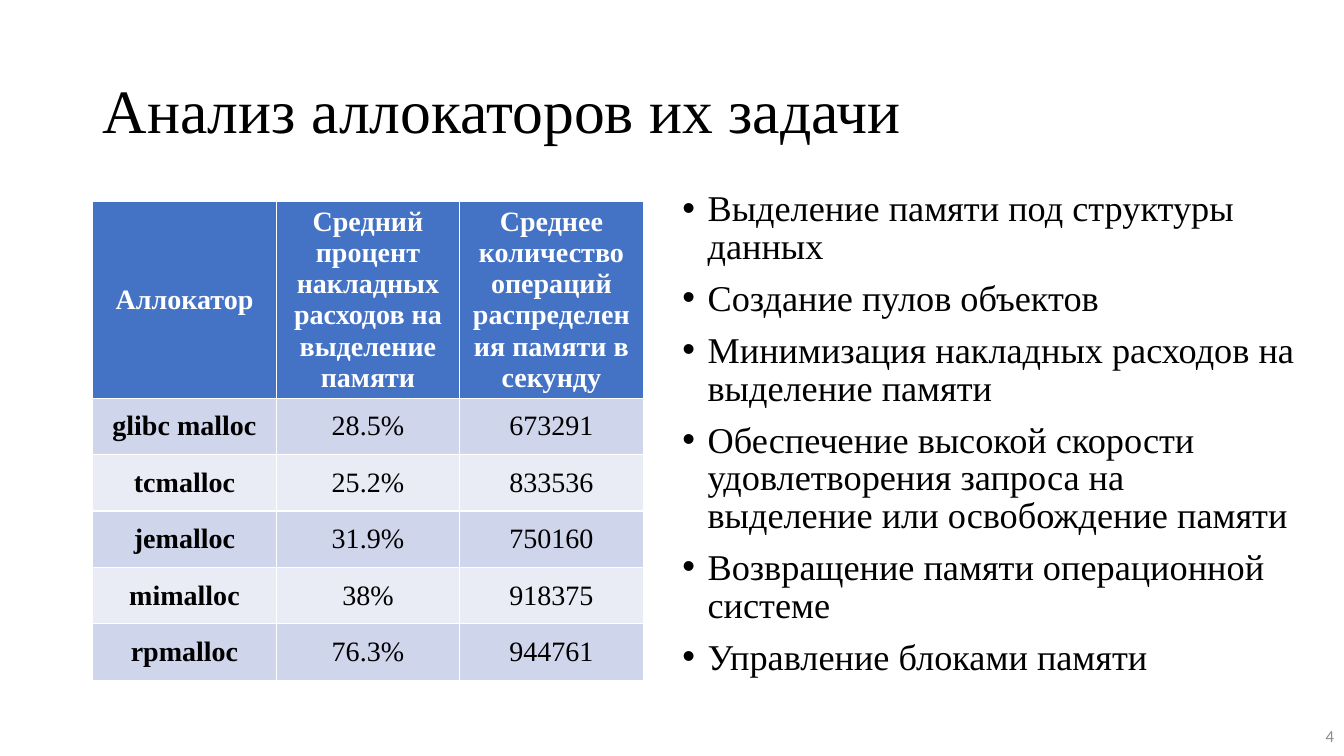
"""Build a slide comparing memory allocators and listing their tasks."""
from dataclasses import dataclass

from lxml.etree import SubElement
from pptx import Presentation
from pptx.dml.color import RGBColor
from pptx.enum.text import MSO_ANCHOR, PP_ALIGN
from pptx.oxml.ns import qn
from pptx.util import Inches, Pt

COLORS = {"ink": "000000", "white": "FFFFFF", "head": "4472C4",
          "odd": "CFD5EA", "even": "E9EBF5", "gray": "8C8C8C"}
SERIF = "Times New Roman"
ROWS = [
    ("Аллокатор", "Средний процент накладных расходов на выделение памяти",
     "Среднее количество операций распределения памяти в секунду"),
    ("glibc malloc", "28.5%", "673291"),
    ("tcmalloc", "25.2%", "833536"),
    ("jemalloc", "31.9%", "750160"),
    ("mimalloc", "38%", "918375"),
    ("rpmalloc", "76.3%", "944761"),
]
TASKS = [
    "Выделение памяти под структуры данных",
    "Создание пулов объектов",
    "Минимизация накладных расходов на выделение памяти",
    "Обеспечение высокой скорости удовлетворения запроса на выделение "
    "или освобождение памяти",
    "Возвращение памяти операционной системе",
    "Управление блоками памяти",
]


@dataclass
class Block:
    box: tuple[float, float, float, float]
    lines: list[str]
    font: dict
    color: str
    para: dict
    anchor: MSO_ANCHOR = MSO_ANCHOR.MIDDLE
    bullet: bool = False


BLOCKS = [
    Block((0.92, 0.4, 11.5, 1.45), ["Анализ аллокаторов их задачи"],
          {"name": SERIF, "size": Pt(44)}, "ink", {"line_spacing": 0.9}),
    Block((10.33, 7.1, 3, 0.4), ["4"],
          {"name": "Calibri", "size": Pt(12)}, "gray",
          {"alignment": PP_ALIGN.RIGHT}),
    Block((6.67, 1.85, 6.27, 4.7), TASKS,
          {"name": SERIF, "size": Pt(25.9)}, "ink",
          {"line_spacing": 0.87, "space_before": Pt(10)},
          MSO_ANCHOR.TOP, True),
]


def style(para, font: dict, color: str, form: dict) -> None:
    for item, values in ((para.font, font), (para, form)):
        for key, value in values.items():
            setattr(item, key, value)
    para.font.color.rgb = RGBColor.from_string(COLORS[color])


def mark(para) -> None:
    props = para._p.get_or_add_pPr()
    props.set("marL", str(Inches(0.25)))
    props.set("indent", str(Inches(-0.25)))
    SubElement(props, qn("a:buFont"), typeface="Arial")
    SubElement(props, qn("a:buChar"), char="•")


def write(slide, block: Block) -> None:
    frame = slide.shapes.add_textbox(*map(Inches, block.box)).text_frame
    frame.word_wrap = True
    frame.vertical_anchor = block.anchor
    frame.text = "\n".join(block.lines)
    for para in frame.paragraphs:
        style(para, block.font, block.color, block.para)
        if block.bullet:
            mark(para)


def tabulate(slide) -> None:
    table = slide.shapes.add_table(
        len(ROWS), len(ROWS[0]), Inches(0.92), Inches(2),
        Inches(5.45), Inches(4.27)).table
    for col in table.columns:
        col.width = Inches(1.82)
    for i, row in enumerate(ROWS):
        table.rows[i].height = Inches(0.56 if i else 1.45)
        fill = "head" if i == 0 else "odd" if i % 2 else "even"
        for j, text in enumerate(row):
            cell = table.cell(i, j)
            cell.text = text
            cell.vertical_anchor = MSO_ANCHOR.MIDDLE
            cell.fill.solid()
            cell.fill.fore_color.rgb = RGBColor.from_string(COLORS[fill])
            font = {"name": SERIF, "size": Pt(20), "bold": i == 0 or j == 0}
            style(cell.text_frame.paragraphs[0], font,
                  "ink" if i else "white", {"alignment": PP_ALIGN.CENTER})


def main() -> None:
    deck = Presentation()
    deck.slide_width, deck.slide_height = Inches(13.33), Inches(7.5)
    slide = deck.slides.add_slide(deck.slide_layouts[6])
    tabulate(slide)
    for block in BLOCKS:
        write(slide, block)
    deck.save("out.pptx")


if __name__ == "__main__":
    main()
